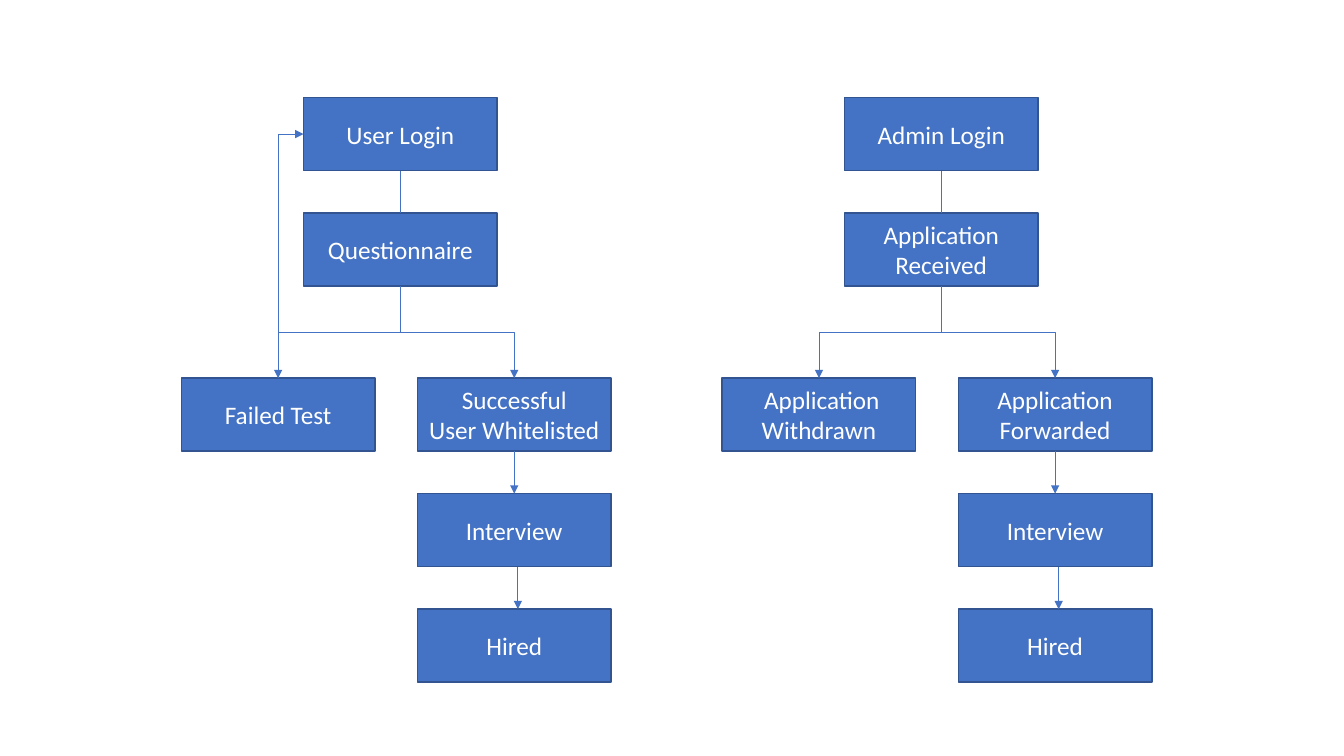
from dataclasses import dataclass

from lxml import etree
from pptx import Presentation
from pptx.dml.color import RGBColor
from pptx.enum.shapes import MSO_CONNECTOR, MSO_SHAPE
from pptx.enum.text import MSO_ANCHOR, PP_ALIGN
from pptx.oxml.ns import qn
from pptx.util import Cm, Pt

RECT = MSO_SHAPE.RECTANGLE
STRAIGHT = MSO_CONNECTOR.STRAIGHT
ELBOW = MSO_CONNECTOR.ELBOW
MIDDLE = MSO_ANCHOR.MIDDLE
CENTER = PP_ALIGN.CENTER
TOP, LEFT, BOTTOM = 0, 1, 2
QUARTER_TURN = "5400000"


@dataclass(frozen=True)
class Theme:
    fill: RGBColor = RGBColor(0x44, 0x72, 0xC4)
    border: RGBColor = RGBColor(0x32, 0x54, 0x91)
    text: RGBColor = RGBColor(0xFF, 0xFF, 0xFF)
    font: str = "Calibri"
    size: Pt = Pt(18)
    border_width: Pt = Pt(1)
    link_width: Pt = Pt(0.5)


THEME = Theme()
BOX_W, BOX_H = Cm(4.88), Cm(1.84)
ROW_PITCH = Cm(2.91)
LOGIN_TOP, OUTCOME_TOP = Cm(2.46), Cm(9.53)
REJECTED_X, LOGIN_X, ACCEPTED_X = Cm(4.57), Cm(7.65), Cm(10.52)
TREE_PITCH = Cm(13.63)
HIRED_NUDGE = Cm(0.09)


def add_box(slide, left, top, text):
    s = slide.shapes.add_shape(RECT, left, top, BOX_W, BOX_H)
    s.shadow.inherit = False
    s.fill.solid()
    s.fill.fore_color.rgb = THEME.fill
    s.line.color.rgb = THEME.border
    s.line.width = THEME.border_width
    tf = s.text_frame
    tf.word_wrap = True
    tf.vertical_anchor = MIDDLE
    tf.text = text
    for p in tf.paragraphs:
        p.alignment = CENTER
        for r in p.runs:
            r.font.name = THEME.font
            r.font.size = THEME.size
            r.font.color.rgb = THEME.text
    return s


def site_point(s, site):
    if site == LEFT:
        return s.left, s.top + s.height // 2
    return s.left + s.width // 2, s.top + (s.height if site == BOTTOM else 0)


def style_link(c, arrow):
    c.line.color.rgb = THEME.fill
    c.line.width = THEME.link_width
    if arrow:
        etree.SubElement(c.line._get_or_add_ln(), qn("a:tailEnd"), type="triangle")
    etree.SubElement(c._element.spPr, qn("a:effectLst"))


def add_straight(slide, upper, lower, arrow=True, nudge=0):
    x1, y1 = site_point(upper, BOTTOM)
    x2, y2 = site_point(lower, TOP)
    c = slide.shapes.add_connector(STRAIGHT, x1 + nudge, y1, x2 + nudge, y2)
    if not nudge:
        c.begin_connect(upper, BOTTOM)
        c.end_connect(lower, TOP)
    style_link(c, arrow)


def add_elbow(slide, start, start_site, end, end_site, preset="bentConnector3"):
    x1, y1 = site_point(start, start_site)
    x2, y2 = site_point(end, end_site)
    mid_x, mid_y = (x1 + x2) // 2, (y1 + y2) // 2
    half_w, half_h = (x2 - x1) // 2, (y2 - y1) // 2
    c = slide.shapes.add_connector(ELBOW, 0, 0, 0, 0)
    c.begin_connect(start, start_site)
    c.end_connect(end, end_site)
    c.begin_x, c.begin_y = mid_x - half_h, mid_y + half_w
    c.end_x, c.end_y = mid_x + half_h, mid_y - half_w
    spPr = c._element.spPr
    spPr.find(qn("a:xfrm")).set("rot", QUARTER_TURN)
    spPr.find(qn("a:prstGeom")).set("prst", preset)
    style_link(c, True)


def add_tree(slide, shift, login, intake, rejected, accepted):
    login_box = add_box(slide, LOGIN_X + shift, LOGIN_TOP, login)
    intake_box = add_box(slide, LOGIN_X + shift, LOGIN_TOP + ROW_PITCH, intake)
    rejected_box = add_box(slide, REJECTED_X + shift, OUTCOME_TOP, rejected)
    accepted_box, interview_box, hired_box = [
        add_box(slide, ACCEPTED_X + shift, OUTCOME_TOP + i * ROW_PITCH, text)
        for i, text in enumerate((accepted, "Interview", "Hired"))
    ]
    add_straight(slide, login_box, intake_box, arrow=False)
    for outcome in (rejected_box, accepted_box):
        add_elbow(slide, intake_box, BOTTOM, outcome, TOP)
    add_straight(slide, accepted_box, interview_box)
    add_straight(slide, interview_box, hired_box, nudge=HIRED_NUDGE)
    return login_box, rejected_box


def main():
    prs = Presentation()
    prs.slide_width, prs.slide_height = Cm(33.87), Cm(19.05)
    slide = prs.slides.add_slide(prs.slide_layouts[6])
    user_login, failed_test = add_tree(
        slide, 0, "User Login", "Questionnaire",
        "Failed Test", "Successful\nUser Whitelisted",
    )
    add_elbow(slide, failed_test, TOP, user_login, LEFT, "bentConnector2")
    add_tree(
        slide, TREE_PITCH, "Admin Login", "Application Received",
        " Application Withdrawn", "Application Forwarded",
    )
    prs.save("out.pptx")


main()
